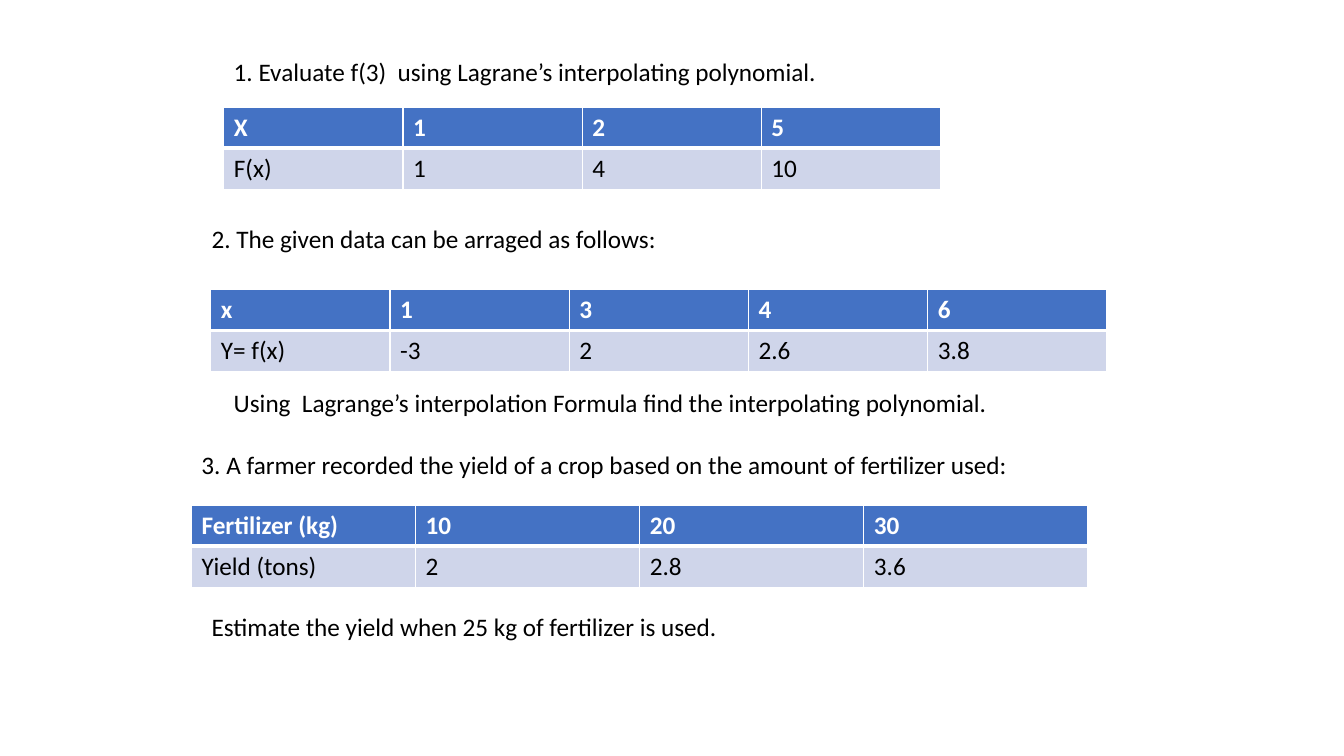
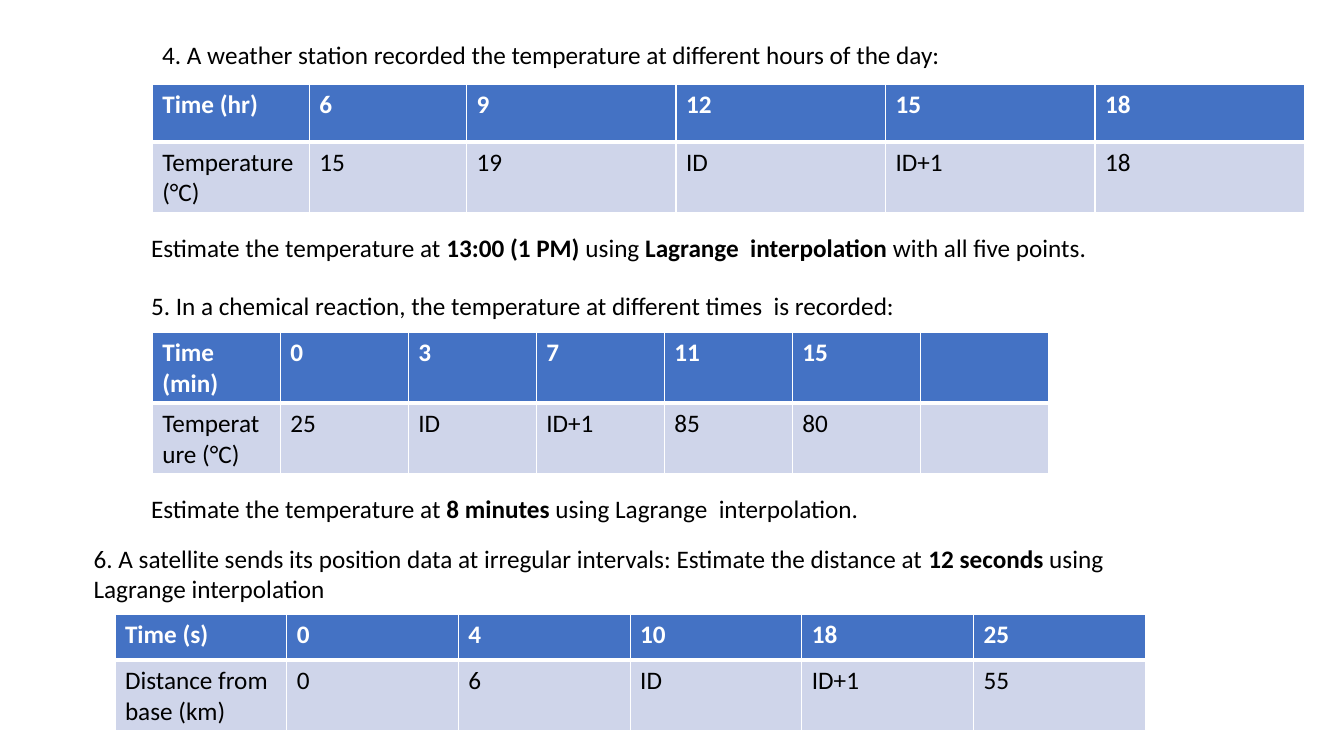
from dataclasses import dataclass

from lxml import etree
from pptx import Presentation
from pptx.dml.color import RGBColor
from pptx.oxml import ns
from pptx.util import Inches, Pt


@dataclass(frozen=True)
class Theme:
    font: str = "Calibri"
    size: int = 18
    ink: str = "000000"
    header_ink: str = "FFFFFF"
    header_fill: str = "4472C4"
    body_fill: str = "CFD5EA"
    rule: str = "FFFFFF"
    thin: int = 1
    thick: int = 3


THEME = Theme()

# Content: lines are (left, top, width, text), ** marks bold;
# tables are (left, top, width, row heights, column weights, rows)
SLIDES = [
    {
        "lines": [
            (2.22, 0.51, 6.46, "1. Evaluate f(3)  using Lagrane’s interpolating polynomial."),
            (2, 2.17, 4.66, "2. The given data can be arraged as follows:"),
            (2.22, 3.79, 7.8,
             "Using  Lagrange’s interpolation Formula find the interpolating polynomial."),
            (1.9, 4.41, 8.3,
             "3. A farmer recorded the yield of a crop based on the amount of fertilizer used:"),
            (2, 6.02, 5.28, "Estimate the yield when 25 kg of fertilizer is used."),
        ],
        "tables": [
            (2.22, 1.07, 7.11, (0.4, 0.41), [1] * 4,
             [["X", "1", "2", "5"], ["F(x)", "1", "4", "10"]]),
            (2.09, 2.87, 8.89, (0.41, 0.41), [1] * 5,
             [["x", "1", "3", "4", "6"], ["Y= f(x)", "-3", "2", "2.6", "3.8"]]),
            (1.9, 5.01, 8.89, (0.41, 0.41), [1] * 4,
             [["Fertilizer (kg)", "10", "20", "30"], ["Yield (tons)", "2", "2.8", "3.6"]]),
        ],
    },
    {
        "lines": [
            (1.51, 0.34, 8.02,
             "4. A weather station recorded the temperature at different hours of the day:"),
            (1.4, 2.26, 9.96, "Estimate the temperature at **13:00 (1 PM)** using "
             "**Lagrange  interpolation** with all five points."),
            (1.4, 2.83, 8.23,
             "5. In a chemical reaction, the temperature at different times  is recorded:"),
            (1.4, 4.84, 8.35,
             "Estimate the temperature at **8 minutes** using Lagrange  interpolation."),
            (0.83, 5.34, 10.52,
             "6. A satellite sends its position data at irregular intervals: "
             "Estimate the distance at **12 seconds** using Lagrange interpolation"),
        ],
        "tables": [
            (1.51, 0.84, 11.43, (0.57, 0.7), [3, 3, 4, 4, 4, 4],
             [["Time (hr)", "6", "9", "12", "15", "18"],
              ["Temperature (°C)", "15", "19", "ID", "ID+1", "18"]]),
            (1.51, 3.3, 8.89, (0.7, 0.7), [1] * 7,
             [["Time (min)", "0", "3", "7", "11", "15", ""],
              ["Temperature (°C)", "25", "ID", "ID+1", "85", "80", ""]]),
            (1.14, 6.1, 10.22, (0.45, 0.7), [1] * 6,
             [["Time (s)", "0", "4", "10", "18", "25"],
              ["Distance from base (km)", "0", "6", "ID", "ID+1", "55"]]),
        ],
    },
]


def style(font, color, bold):
    font.name, font.size, font.bold = THEME.font, Pt(THEME.size), bold
    font.color.rgb = RGBColor.from_string(color)


def add_line(slide, left, top, width, text):
    sp = slide.shapes.add_textbox(Inches(left), Inches(top), Inches(width), Inches(0.4))
    tf = sp.text_frame
    tf.word_wrap = True
    for i, part in enumerate(text.split("**")):
        r = tf.paragraphs[0].add_run()
        r.text = part
        style(r.font, THEME.ink, i % 2 == 1)


def set_borders(cell, header):
    tcPr = cell._tc.get_or_add_tcPr()
    thick_side = "lnB" if header else "lnT"
    for side in ("lnL", "lnR", "lnT", "lnB"):
        width = THEME.thick if side == thick_side else THEME.thin
        ln = etree.SubElement(tcPr, ns.qn("a:" + side), w=str(Pt(width)))
        fill = etree.SubElement(ln, ns.qn("a:solidFill"))
        etree.SubElement(fill, ns.qn("a:srgbClr"), val=THEME.rule)


def add_data_table(slide, left, top, width, heights, weights, rows):
    frame = slide.shapes.add_table(len(rows), len(weights), Inches(left), Inches(top),
                                   Inches(width), Inches(sum(heights)))
    table = frame.table
    for column, weight in zip(table.columns, weights):
        column.width = Inches(width * weight / sum(weights))
    for i, (values, height) in enumerate(zip(rows, heights)):
        header = i == 0
        table.rows[i].height = Inches(height)
        for j, value in enumerate(values):
            cell = table.cell(i, j)
            set_borders(cell, header)
            cell.fill.solid()
            cell.fill.fore_color.rgb = RGBColor.from_string(
                THEME.header_fill if header else THEME.body_fill)
            cell.text_frame.text = value
            for r in cell.text_frame.paragraphs[0].runs:
                style(r.font, THEME.header_ink if header else THEME.ink, header)


def main():
    prs = Presentation()
    prs.slide_width, prs.slide_height = Inches(13.33), Inches(7.5)
    blank = prs.slide_layouts[6]
    for content in SLIDES:
        slide = prs.slides.add_slide(blank)
        for line in content["lines"]:
            add_line(slide, *line)
        for data in content["tables"]:
            add_data_table(slide, *data)
    prs.save("out.pptx")


if __name__ == "__main__":
    main()
